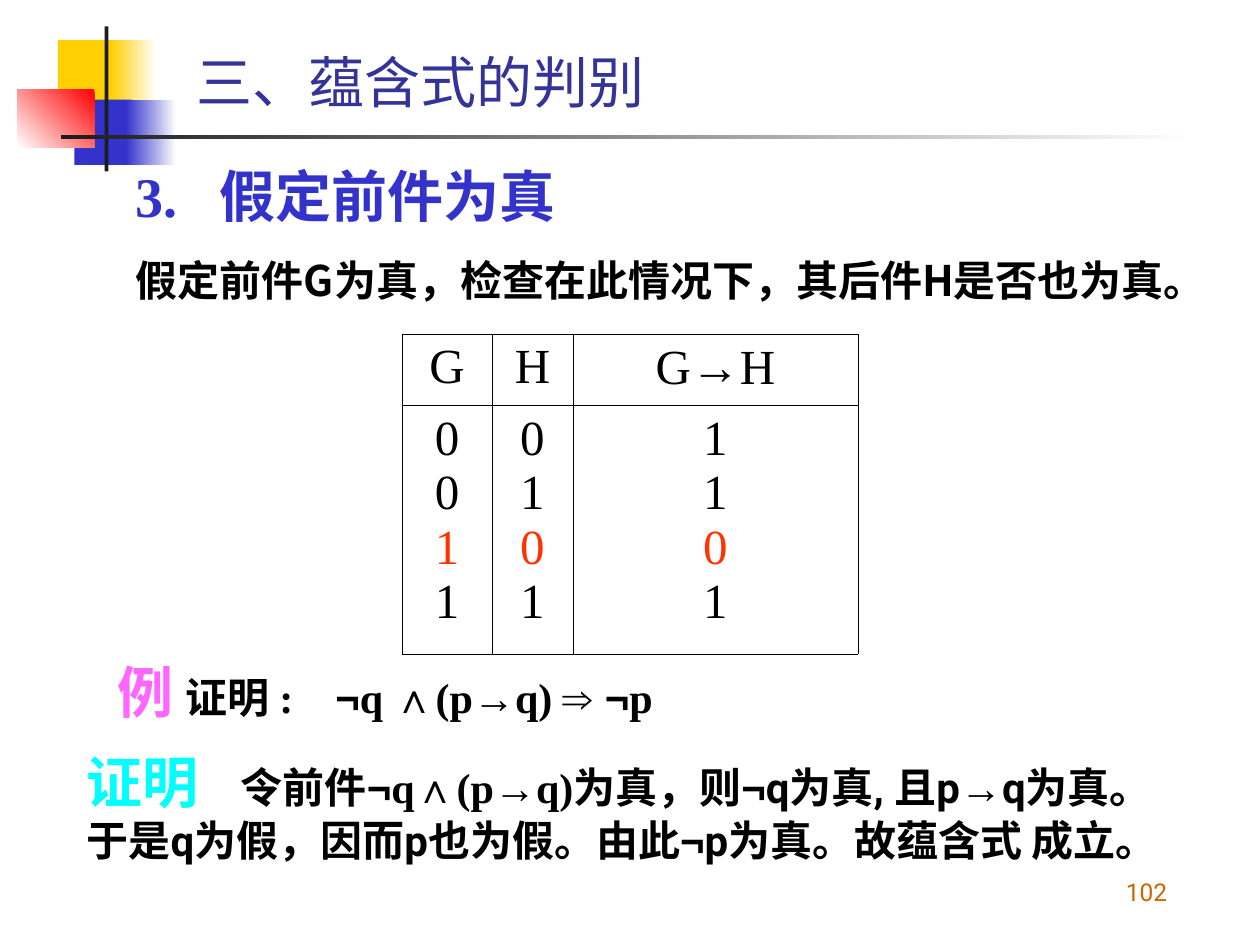
from typing import NamedTuple

from lxml import etree
from pptx import Presentation
from pptx.dml.color import RGBColor
from pptx.enum.shapes import MSO_SHAPE
from pptx.enum.text import MSO_ANCHOR, MSO_AUTO_SIZE, PP_ALIGN
from pptx.oxml.ns import qn
from pptx.util import Pt

RECTANGLE = MSO_SHAPE.RECTANGLE
LEFT, CENTER, RIGHT = PP_ALIGN.LEFT, PP_ALIGN.CENTER, PP_ALIGN.RIGHT
TOP, MIDDLE, BOTTOM = MSO_ANCHOR.TOP, MSO_ANCHOR.MIDDLE, MSO_ANCHOR.BOTTOM

WHITE = RGBColor(0xFF, 0xFF, 0xFF)
BLACK = RGBColor(0x00, 0x00, 0x00)
CHARCOAL = RGBColor(0x1C, 0x1C, 0x1C)
YELLOW = RGBColor(0xFF, 0xCF, 0x01)
BLUE = RGBColor(0x33, 0x33, 0xCC)
NAVY = RGBColor(0x33, 0x33, 0x99)
RED = RGBColor(0xFF, 0x00, 0x00)
ORANGE_RED = RGBColor(0xFF, 0x33, 0x00)
PINK = RGBColor(0xFF, 0x66, 0xFF)
CYAN = RGBColor(0x00, 0xFF, 0xFF)
BROWN = RGBColor(0xCC, 0x66, 0x00)

SERIF, SANS, LATIN, CHINESE = "Times New Roman", "Arial", "Roboto", "Noto Sans CJK SC"


class Block(NamedTuple):
    left: float
    top: float
    width: float
    height: float
    start: RGBColor
    end: RGBColor | None = None
    angle: float = 180


class Span(NamedTuple):
    text: str
    font: str = SERIF
    size: float = 24
    color: RGBColor = BLACK
    bold: bool = True


class Line(NamedTuple):
    spans: list[Span]
    space_before: float = 0
    align: PP_ALIGN = LEFT
    tab: float | None = None


class Note(NamedTuple):
    left: float
    top: float
    width: float
    height: float
    lines: list[Line]
    anchor: MSO_ANCHOR = TOP


BLOCKS = [
    Block(33.1, 23, 34.6, 37.4, YELLOW),
    Block(63.4, 23, 25.9, 37.4, WHITE, YELLOW),
    Block(42.5, 56.9, 33.1, 37.4, BLUE),
    Block(72, 56.9, 28.8, 37.4, WHITE, BLUE),
    Block(10, 51.1, 44, 33.1, RED, WHITE, 225),
    Block(59.8, 15.1, 2.2, 82.8, CHARCOAL),
    Block(34.6, 77, 648, 2.2, WHITE, CHARCOAL),
]

NOTES = [
    Note(70.6, 88.6, 614.9, 118, [
        Line([Span("3.\t假定前件为真", size=32, color=BLUE)], tab=48),
        Line([Span("假定前件G为真，检查在此情况下，其后件H是否也为真。", CHINESE)], 15),
    ]),
    Note(59.8, 372.2, 614.9, 46, [Line([
        Span("例 ", size=32, color=PINK), Span("证明 :　"), Span("¬", SANS),
        Span("q ∧(p"), Span("→", SANS), Span("q) "), Span("⇒ ¬", SANS), Span("p"),
    ])]),
    Note(42.5, 423.4, 640.8, 103.7, [Line([
        Span("证明", size=32, color=CYAN), Span("　令前件"), Span("¬", SANS),
        Span("q∧(p"), Span("→", SANS), Span("q)为真，"), Span("则", LATIN),
        Span("¬", SANS), Span("q为真, 且p", LATIN), Span("→", SANS),
        Span("q为真。于是q为假，因而p也为假。由此", LATIN), Span("¬", SANS),
        Span("p为真。故蕴含式 成立。", LATIN),
    ])]),
    Note(524.2, 485.3, 149.8, 36,
         [Line([Span("102", LATIN, 14, BROWN, False)], align=RIGHT)], BOTTOM),
]

TITLE = Line([Span("三、蕴含式的判别", LATIN, 32, NAVY, False)])

HEADERS = [["G"], ["H"], ["G", "→", "H"]]
TRUTH_COLUMNS = ["0011", "0101", "1101"]
FALSE_ROW = 2
COLUMN_WIDTHS = [51.5, 46.2, 162.9]
ROW_HEIGHTS = [41, 142]


def style_font(font, span: Span) -> None:
    font.name = span.font
    font.size = Pt(span.size)
    font.bold = span.bold
    font.color.rgb = span.color
    latin = font._element.find(qn("a:latin"))
    latin.addnext(etree.Element(qn("a:ea"), typeface=CHINESE))


def write_lines(frame, lines: list[Line]) -> None:
    for index, line in enumerate(lines):
        para = frame.add_paragraph() if index else frame.paragraphs[0]
        para.alignment = line.align
        para.space_before = Pt(line.space_before)
        if line.tab:
            tabs = etree.SubElement(para._p.get_or_add_pPr(), qn("a:tabLst"))
            etree.SubElement(tabs, qn("a:tab"), pos=str(Pt(line.tab)), algn="l")
        shared = len(line.spans) == 1
        if shared:
            style_font(para.font, line.spans[0])
        for span in line.spans:
            run = para.add_run()
            run.text = span.text
            if not shared:
                style_font(run.font, span)


def draw_block(page, block: Block) -> None:
    shape = page.shapes.add_shape(
        RECTANGLE, Pt(block.left), Pt(block.top), Pt(block.width), Pt(block.height))
    shape.shadow.inherit = False
    shape.line.fill.background()
    if block.end is None:
        shape.fill.solid()
        shape.fill.fore_color.rgb = block.start
        return
    shape.fill.gradient()
    shape.fill.gradient_angle = block.angle
    for stop, color in zip(shape.fill.gradient_stops, (block.start, block.end)):
        stop.color.rgb = color


def draw_note(page, note: Note) -> None:
    box = page.shapes.add_textbox(
        Pt(note.left), Pt(note.top), Pt(note.width), Pt(note.height))
    box.text_frame.word_wrap = True
    box.text_frame.vertical_anchor = note.anchor
    write_lines(box.text_frame, note.lines)


def draw_title(page) -> None:
    title = page.shapes.title
    title.left, title.top, title.width, title.height = Pt(105), Pt(21.6), Pt(579), Pt(50)
    title.text_frame.auto_size = MSO_AUTO_SIZE.NONE
    title.text_frame.vertical_anchor = MIDDLE
    write_lines(title.text_frame, [TITLE])


def fill_cell(cell, lines: list[Line]) -> None:
    properties = cell._tc.get_or_add_tcPr()
    for side in ("a:lnL", "a:lnR", "a:lnT", "a:lnB"):
        border = etree.SubElement(properties, qn(side), w=str(Pt(0.45)))
        fill = etree.SubElement(border, qn("a:solidFill"))
        etree.SubElement(fill, qn("a:srgbClr"), val=str(BLACK))
    cell.fill.background()
    write_lines(cell.text_frame, lines)


def draw_truth_table(page) -> None:
    table = page.shapes.add_table(
        len(ROW_HEIGHTS), len(COLUMN_WIDTHS), Pt(229.7), Pt(190.8),
        Pt(sum(COLUMN_WIDTHS)), Pt(sum(ROW_HEIGHTS))).table
    table.first_row = table.horz_banding = False
    for row, height in zip(table.rows, ROW_HEIGHTS):
        row.height = Pt(height)
    for index, width in enumerate(COLUMN_WIDTHS):
        table.columns[index].width = Pt(width)
        header = [Span(text, SANS if text == "→" else SERIF, 28, BLACK, False)
                  for text in HEADERS[index]]
        values = [Span(value, SERIF, 28, ORANGE_RED if row == FALSE_ROW else BLACK, False)
                  for row, value in enumerate(TRUTH_COLUMNS[index])]
        fill_cell(table.cell(0, index), [Line(header, align=CENTER)])
        fill_cell(table.cell(1, index), [Line([value], align=CENTER) for value in values])


def main() -> None:
    deck = Presentation()
    deck.slide_width, deck.slide_height = Pt(720), Pt(540)
    page = deck.slides.add_slide(deck.slide_layouts[5])
    for block in BLOCKS:
        draw_block(page, block)
    for note in NOTES:
        draw_note(page, note)
    draw_truth_table(page)
    draw_title(page)
    deck.save("out.pptx")


if __name__ == "__main__":
    main()
